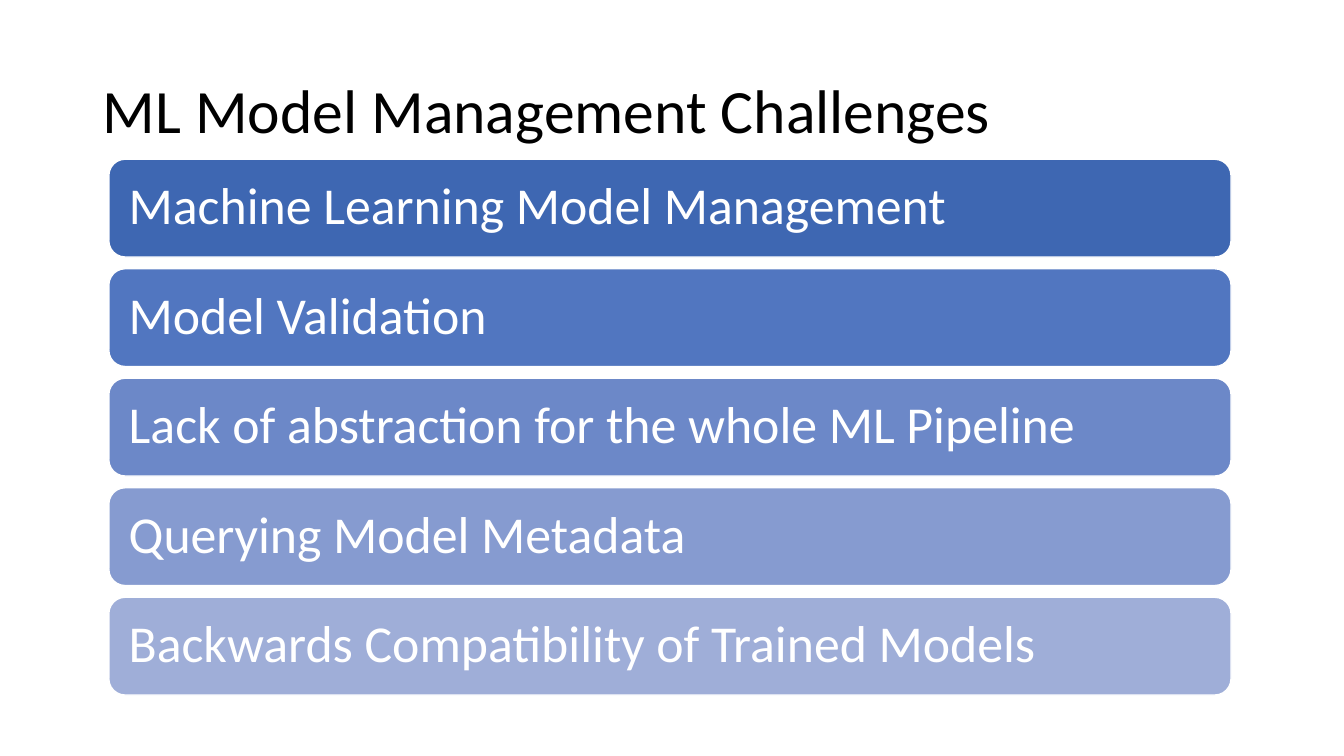
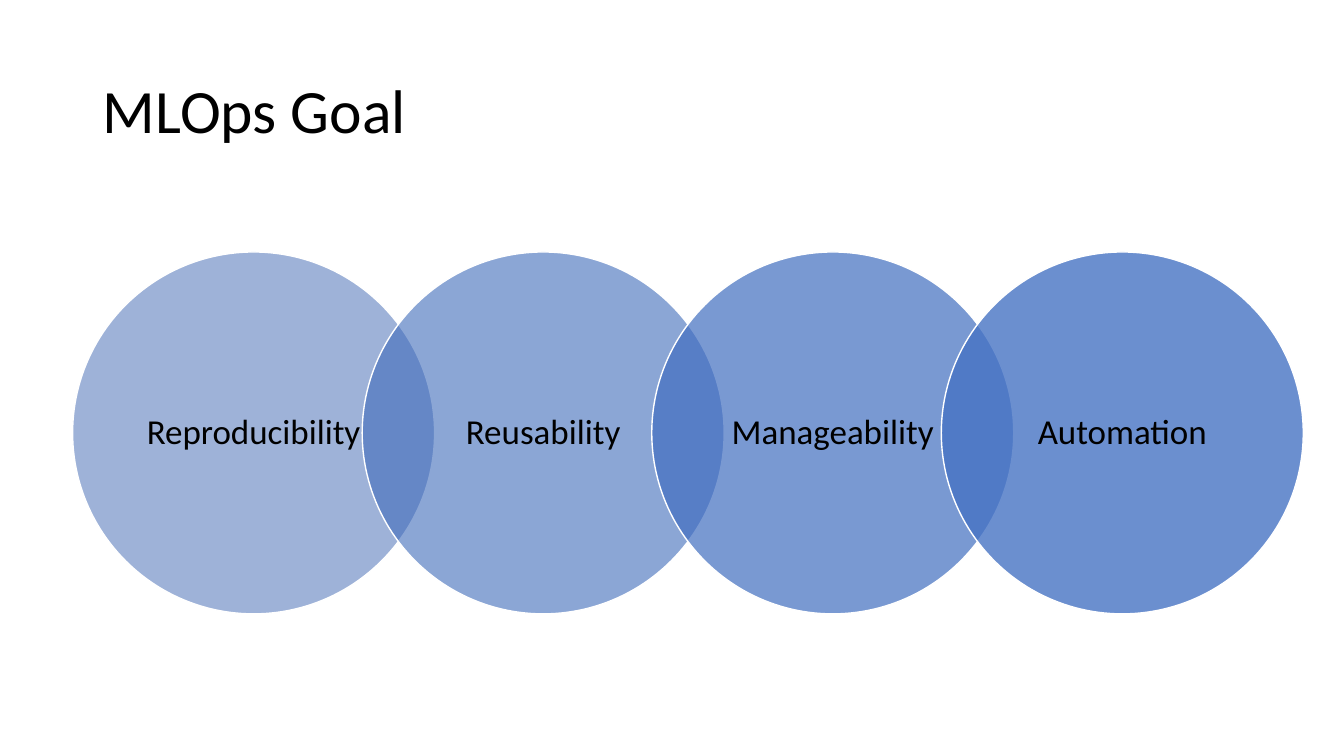
from pptx import Presentation
from pptx import util as u
from pptx.dml.color import RGBColor
from pptx.enum import shapes, text
from pptx.oxml.xmlchemy import OxmlElement

CHALLENGES = (
    "ML Model Management Challenges",
    [
        ("Machine Learning Model Management", "3E67B2"),
        ("Model Validation", "5176C0"),
        ("Lack of abstraction for the whole ML Pipeline", "6C88C8"),
        ("Querying Model Metadata", "869BD0"),
        ("Backwards Compatibility of Trained Models", "9FAED8"),
    ],
)
GOALS = (
    "MLOps Goal",
    [
        ("Reproducibility", "3E67B2", 50),
        ("Reusability", "3F6BBA", 60),
        ("Manageability", "416EC0", 70),
        ("Automation", "4673C4", 80),
    ],
)

FONT, BLACK, WHITE = "Calibri", "000000", "FFFFFF"
WIDTH, HEIGHT = 13.33, 7.5
TITLE_BOX = (0.92, 0.4, 11.5, 1.45)
BAR_LEFT, BAR_TOP, BAR_WIDTH, BAR_HEIGHT = 1.08, 1.58, 11.13, 0.97
BAR_PITCH = BAR_HEIGHT * 1.12
RING_LEFT, RING_TOP, DIAMETER = 0.72, 2.5, 3.59
RING_PITCH = DIAMETER * 0.8


def color(value):
    return RGBColor.from_string(value)


def write(sp, words, size, ink=BLACK, align=text.PP_ALIGN.LEFT, insets=(0.1, 0.05)):
    tf = sp.text_frame
    tf.word_wrap = True
    tf.auto_size = text.MSO_AUTO_SIZE.NONE
    tf.vertical_anchor = text.MSO_ANCHOR.MIDDLE
    tf.margin_left = tf.margin_right = u.Inches(insets[0])
    tf.margin_top = tf.margin_bottom = u.Inches(insets[1])
    p = tf.paragraphs[0]
    p.alignment, p.line_spacing = align, 0.9
    r = p.add_run()
    r.text = words
    r.font.name, r.font.size = FONT, u.Pt(size)
    r.font.color.rgb = color(ink)


def add_block(s, kind, box, fill, opacity=100):
    sp = s.shapes.add_shape(kind, *map(u.Inches, box))
    sp.shadow.inherit = False
    sp.fill.solid()
    sp.fill.fore_color.rgb = color(fill)
    if opacity < 100:
        alpha = OxmlElement("a:alpha")
        alpha.set("val", str(opacity * 1000))
        sp.fill._xPr.find(".//{*}srgbClr").append(alpha)
    sp.line.color.rgb = color(WHITE)
    sp.line.width = u.Pt(1)
    return sp


def add_slide(prs, layout, title):
    s = prs.slides.add_slide(layout)
    write(s.shapes.title, title, 44)
    return s


prs = Presentation()
prs.slide_width, prs.slide_height = u.Inches(WIDTH), u.Inches(HEIGHT)
layout = prs.slide_layouts.get_by_name("Title Only")
heading = layout.placeholders[0]
heading.left, heading.top, heading.width, heading.height = map(u.Inches, TITLE_BOX)

title, bars = CHALLENGES
s = add_slide(prs, layout, title)
for row, (label, fill) in enumerate(bars):
    box = (BAR_LEFT, BAR_TOP + row * BAR_PITCH, BAR_WIDTH, BAR_HEIGHT)
    bar = add_block(s, shapes.MSO_SHAPE.ROUNDED_RECTANGLE, box, fill)
    write(bar, label, 37, ink=WHITE, insets=(0.15, 0.15))

title, rings = GOALS
s = add_slide(prs, layout, title)
for column, (label, fill, opacity) in enumerate(rings):
    box = (RING_LEFT + column * RING_PITCH, RING_TOP, DIAMETER, DIAMETER)
    ring = add_block(s, shapes.MSO_SHAPE.OVAL, box, fill, opacity)
    write(ring, label, 25, align=text.PP_ALIGN.CENTER, insets=(0.2, 0.03))

prs.save("out.pptx")
